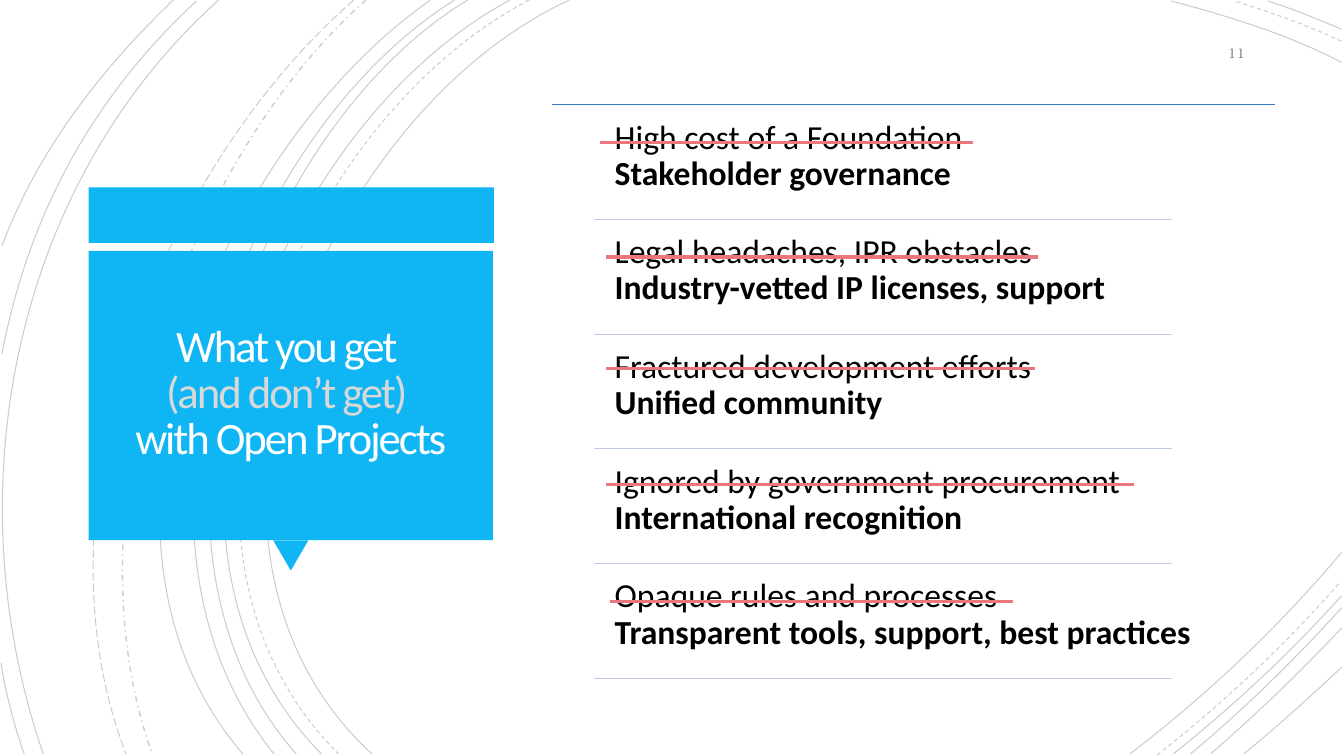
import pptx
import pptx.util
import pptx.dml.color
import pptx.enum.dml
import pptx.enum.shapes
import pptx.enum.text
import pptx.oxml.ns
import lxml.etree

Dash = pptx.enum.dml.MSO_LINE
Kind = pptx.enum.shapes.MSO_SHAPE
Align = pptx.enum.text.PP_ALIGN
Mid = pptx.enum.text.MSO_ANCHOR.MIDDLE
Top = pptx.enum.text.MSO_ANCHOR.TOP
qn = pptx.oxml.ns.qn
rgb = pptx.dml.color.RGBColor.from_string

theme = {
    "panel": "10B6F4", "title": "FFFEFF", "muted": "D8D8D8", "body": "000000",
    "number": "8C8C8C", "head": "3978C3", "rule": "BEC9E3", "strike": "EA777B",
    "curve": "000000", "faint": 20000,
    "font": "Calibri", "serif": "TeX Gyre Bonum",
    "big": 32, "mid": 24, "small": 10, "thin": 0.75, "thick": 2.25,
}

deck = pptx.Presentation()
deck.slide_height = pptx.util.Inches(7.5)
deck.slide_width = round(deck.slide_height * 16 / 9)
cell = deck.slide_height / 7.5
slide = deck.slides.add_slide(deck.slide_layouts[6])
shapes = slide.shapes


def write(lines, x, y, w, h, size=theme["mid"], font=theme["font"], align=Align.LEFT,
          anchor=Top, pad=(0.1, 0.1), space=1.0, track=0):
    frame = shapes.add_textbox(*(round(n * cell) for n in (x, y, w, h))).text_frame
    frame.word_wrap = True
    frame.vertical_anchor = anchor
    frame.margin_left = frame.margin_right = round(pad[0] * cell)
    frame.margin_top = frame.margin_bottom = round(pad[1] * cell)
    para = frame.paragraphs[0]
    para.alignment = align
    para.line_spacing = space
    para.font.size = pptx.util.Pt(size)
    for num, (text, tint, bold) in enumerate(lines):
        if num:
            para.add_line_break()
        run = para.add_run()
        run.text = text
        run.font.name = font
        run.font.size = pptx.util.Pt(size)
        run.font.bold = bold
        run.font.color.rgb = rgb(tint)
        if track:
            run.font._element.set("spc", str(round(track * 100)))


def rule(left, right, y, tint, width):
    line = shapes.add_connector(pptx.enum.shapes.MSO_CONNECTOR.STRAIGHT,
                                *(round(n * cell) for n in (left, y, right, y)))
    line.line.color.rgb = rgb(tint)
    line.line.width = pptx.util.Pt(width)
    lxml.etree.SubElement(line._element.spPr, qn("a:effectLst"))


curves = [
    (Dash.SOLID, (5.65, 0), (3.15, 1.15), (1.43, 5.4), (3.69, 7.48)),
    (Dash.SOLID, (13.31, 0.62), (12.78, 0.34), (12.18, 0.16), (11.62, 0.01)),
    (Dash.SOLID, (11.21, 7.48), (11.97, 6.9), (12.69, 6.22), (13.31, 5.48)),
    (Dash.DASH, (5.25, 0), (2.85, 1.25), (1.23, 5.37), (3.36, 7.48)),
    (Dash.DASH, (13.31, 0.41), (12.97, 0.25), (12.6, 0.12), (12.25, 0.01)),
    (Dash.DASH, (11.48, 7.49), (12.13, 6.98), (12.75, 6.4), (13.3, 5.77)),
    (Dash.SOLID, (5.06, 0), (2.7, 1.27), (1.1, 5.37), (3.19, 7.48)),
    (Dash.SOLID, (13.31, 0.29), (13.07, 0.19), (12.83, 0.09), (12.58, 0.01)),
    (Dash.SOLID, (11.64, 7.48), (12.23, 7.01), (12.8, 6.48), (13.31, 5.91)),
    (Dash.SOLID, (4.64, 0), (2.44, 1.33), (1.1, 5.41), (2.94, 7.48)),
    (Dash.SOLID, (11.81, 7.48), (12.34, 7.04), (12.84, 6.55), (13.31, 6.03)),
    (Dash.SOLID, (4.51, 0), (2.31, 1.38), (0.97, 5.33), (2.72, 7.48)),
    (Dash.SOLID, (12.01, 7.48), (12.46, 7.09), (12.9, 6.67), (13.31, 6.23)),
    (Dash.SOLID, (4.27, 0), (2.17, 1.47), (0.53, 5.29), (2.41, 7.48)),
    (Dash.SOLID, (12.34, 7.48), (12.67, 7.21), (12.99, 6.92), (13.31, 6.62)),
    (Dash.DASH_DOT, (3.63, 0), (1.76, 1.66), (0.65, 5.09), (1.51, 7.48)),
    (Dash.LONG_DASH, (3.51, 0), (1.57, 1.69), (0.29, 4.99), (1.25, 7.48)),
    (Dash.SOLID, (2.17, 0), (0.11, 1.85), (-0.46, 4.9), (0.43, 7.48)),
    (Dash.SOLID, (1.95, 0.01), (0.92, 0.96), (0.28, 2.14), (0.02, 3.51)),
    (Dash.SOLID, (0.01, 6.58), (0.06, 6.89), (0.14, 7.19), (0.24, 7.48)),
    (Dash.SOLID, (1.72, 0), (1, 0.69), (0.37, 1.5), (0.02, 2.44)),
]
for dash, *knots in curves:
    points = [(round(x * cell), round(y * cell)) for x, y in knots]
    pen = shapes.build_freeform(*points[0])
    pen.add_line_segments(points[1:], close=False)
    curve = pen.convert_to_shape()
    sides = list(curve._element.iter(qn("a:lnTo")))
    bend = lxml.etree.SubElement(sides[0].getparent(), qn("a:cubicBezTo"))
    for side in sides:
        bend.append(side[0])
        side.getparent().remove(side)
    curve.shadow.inherit = False
    curve.fill.background()
    curve.line.color.rgb = rgb(theme["curve"])
    curve.line.width = pptx.util.Pt(1 if dash == Dash.DASH_DOT else theme["thin"])
    if dash != Dash.SOLID:
        curve.line.dash_style = dash
    tone = curve.line._ln.find(".//" + qn("a:srgbClr"))
    lxml.etree.SubElement(tone, qn("a:alpha")).set("val", str(theme["faint"]))

panels = [
    (Kind.RECTANGLE, 0.88, 1.86, 4.02, 0.55, 0),
    (Kind.ISOSCELES_TRIANGLE, 2.71, 5.36, 0.35, 0.3, 180),
    (Kind.RECTANGLE, 0.88, 2.49, 4.01, 2.87, 0),
]
for kind, *place, turn in panels:
    panel = shapes.add_shape(kind, *(round(n * cell) for n in place))
    panel.rotation = turn
    panel.shadow.inherit = False
    panel.fill.solid()
    panel.fill.fore_color.rgb = rgb(theme["panel"])
    panel.line.fill.background()

write([("What you get ", theme["title"], False),
       ("(and don’t get) ", theme["muted"], False),
       ("with Open Projects", theme["title"], False)],
      0.97, 2.57, 3.83, 2.69, size=theme["big"], align=Align.CENTER, anchor=Mid,
      pad=(0.25, 0.25), space=0.85, track=-1.5)
write([("11", theme["number"], False)], 11.45, 0.35, 1, 0.35, size=theme["small"],
      font=theme["serif"], align=Align.RIGHT, anchor=Mid, pad=(0.1, 0.05))

first, last = 1.04, 6.73
swaps = [
    ("High cost\u00a0of a Foundation", "Stakeholder governance", 5.63),
    ("Legal headaches, IPR obstacles", "Industry-vetted IP licenses, support", 5.63),
    ("Fractured development efforts", "Unified community", 5.63),
    ("Ignored by government procurement", "International recognition", 5.63),
    ("Opaque rules and processes", "Transparent tools, support, best practices", 6.21),
]
pitch = (last - first) / len(swaps)
rule(5.48, 12.65, first, theme["head"], theme["thin"])
for row, (old, new, width) in enumerate(swaps):
    head = first + row * pitch
    write([(old, theme["body"], False), (new, theme["body"], True)],
          6, head + 0.05, width, 1.08, space=0.9)
    rule(5.89, 11.63, head + pitch, theme["rule"], theme["thin"])

strikes = [(5.95, 9.65, 1.41), (6.01, 10.3, 2.55), (6.01, 10.27, 3.66),
           (6.01, 11.25, 4.81), (6.05, 10.05, 5.97)]
for left, right, y in strikes:
    rule(left, right, y, theme["strike"], theme["thick"])

deck.save("out.pptx")
